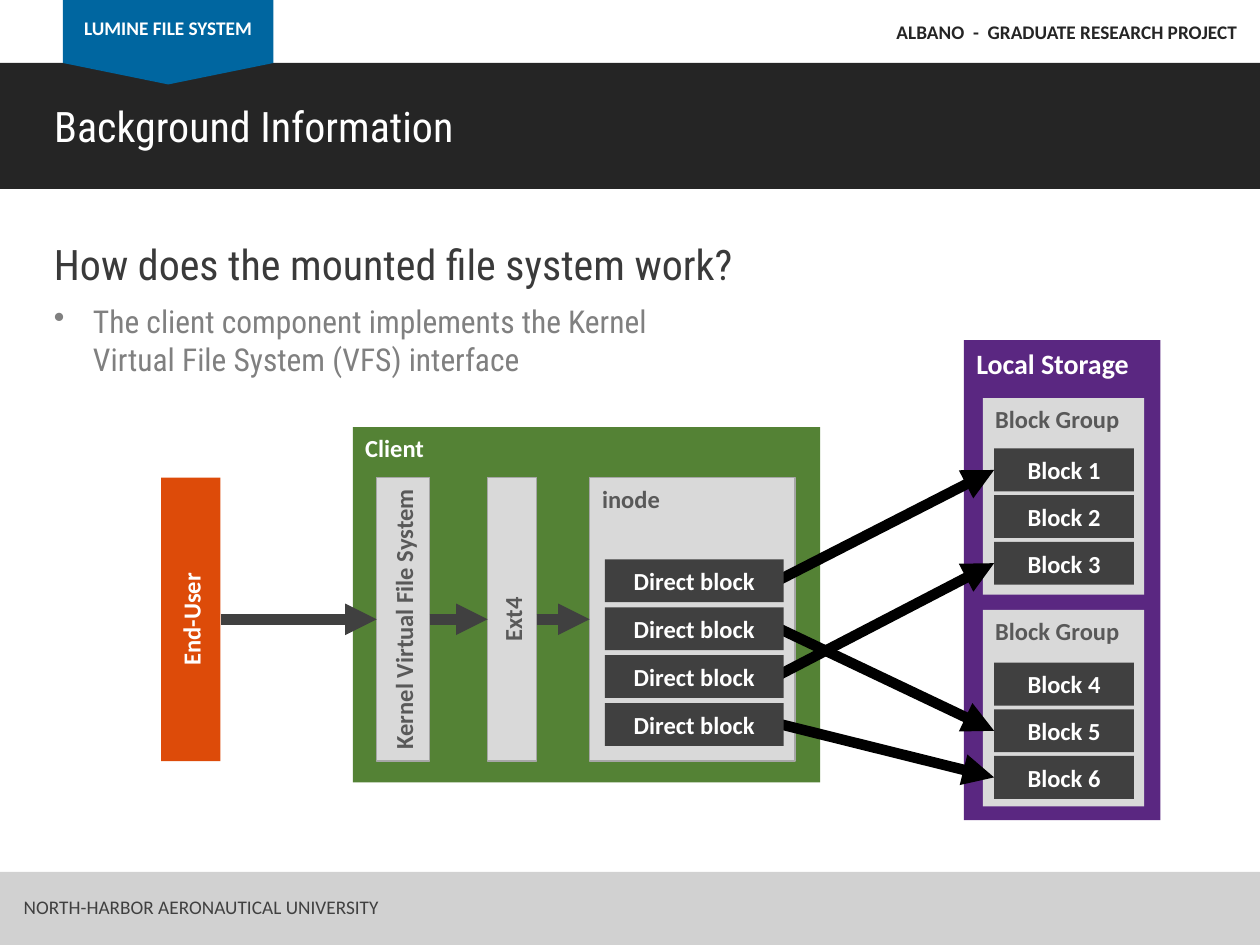
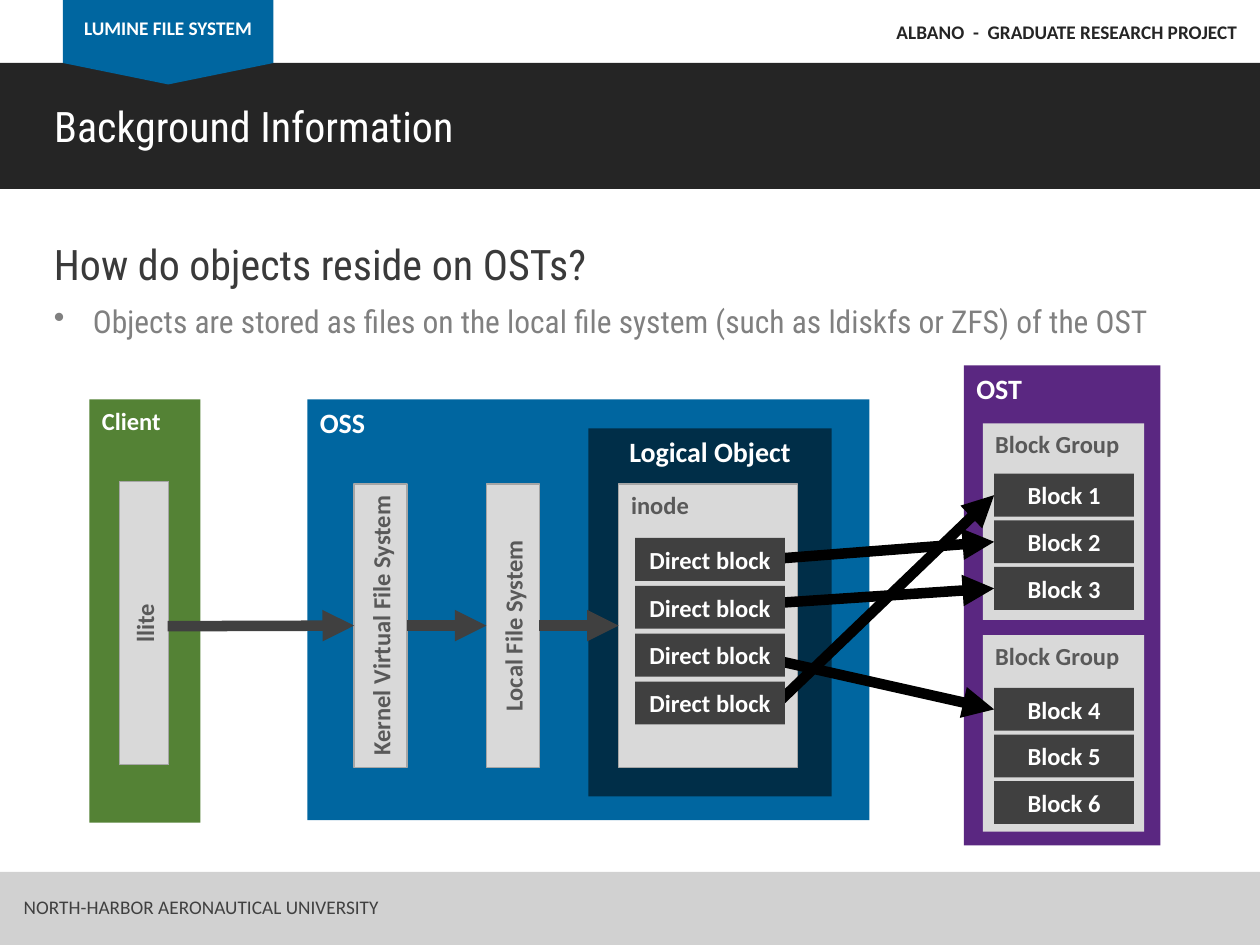
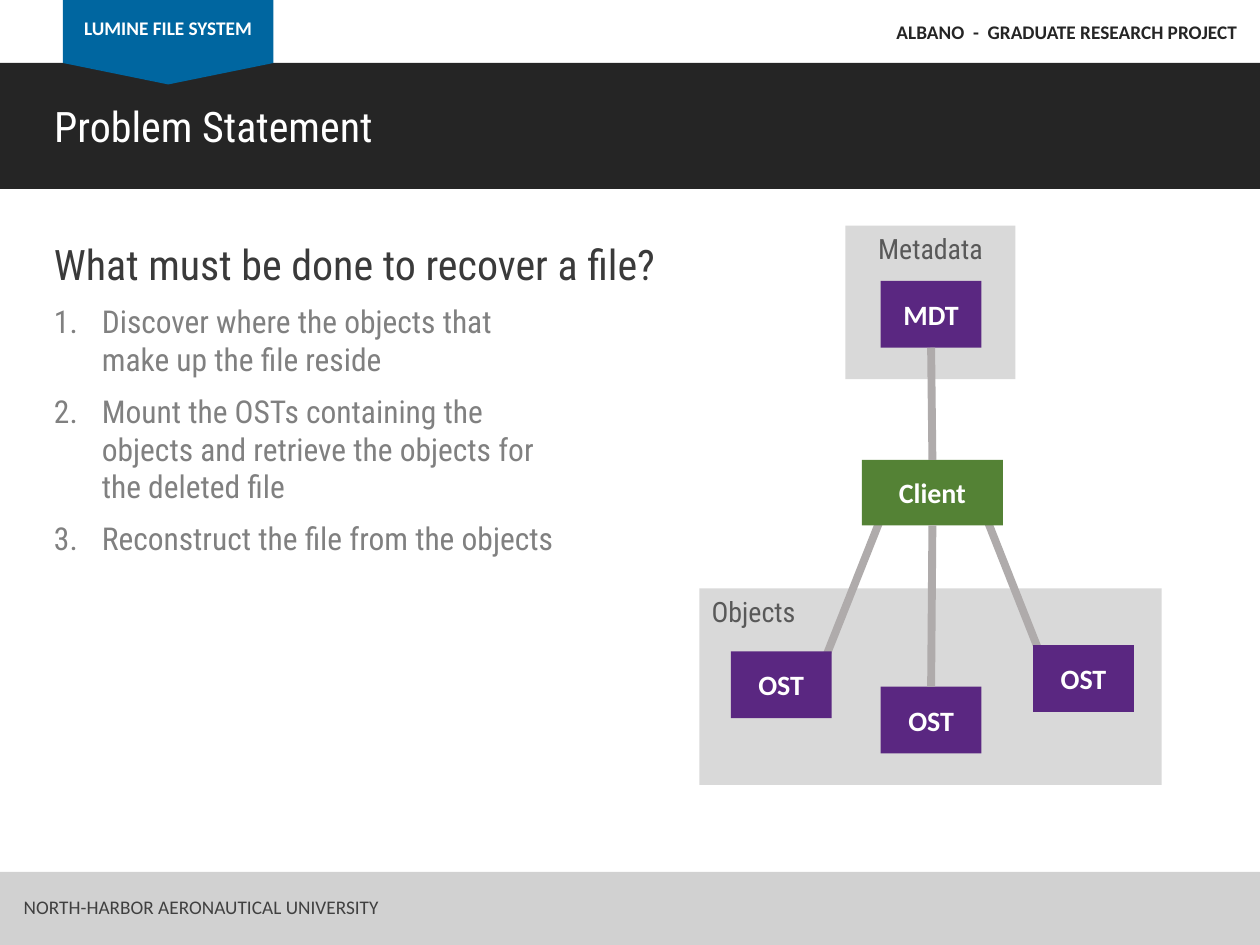
from lxml.etree import SubElement
from pptx import Presentation
from pptx.dml.color import RGBColor
from pptx.enum.shapes import MSO_CONNECTOR, MSO_SHAPE
from pptx.enum.text import MSO_ANCHOR, MSO_AUTO_SIZE, PP_ALIGN
from pptx.oxml.ns import qn
from pptx.util import Inches, Pt

CALIBRI = "Calibri"
ROBOTO = "Roboto Condensed"
WHITE = "FFFFFF"
BLACK = "000000"
CHARCOAL = "252525"
DARK_GRAY = "404040"
LABEL_GRAY = "595959"
BODY_GRAY = "808080"
LIGHT_GRAY = "D9D9D9"
BORDER_GRAY = "A6A6A6"
LINK_GRAY = "AFABAB"
FOOTER_GRAY = "D1D1D1"
HEADING_GRAY = "3A3A3A"
BLUE = "0066A0"
NAVY = "002E48"
GREEN = "548235"
PURPLE = "5A2781"
ORANGE = "DD4B09"

TOP, BOTTOM, LEFT, RIGHT = 0, 2, 1, 3
BLOCK_HEIGHT = 0.34


def rgb(hex_color):
    return RGBColor.from_string(hex_color)


def write(shape, text, size, color, font=CALIBRI, bold=False,
          align=PP_ALIGN.LEFT, anchor=MSO_ANCHOR.TOP):
    frame = shape.text_frame
    frame.text = text
    frame.word_wrap = True
    frame.auto_size = MSO_AUTO_SIZE.NONE
    frame.vertical_anchor = anchor
    for para in frame.paragraphs:
        para.alignment = align
        for span in para.runs:
            span.font.size = Pt(size)
            span.font.name = font
            span.font.bold = bold
            span.font.color.rgb = rgb(color)


def add_text(page, place, text, size, color, **style):
    box = page.shapes.add_textbox(*map(Inches, place))
    write(box, text, size, color, **style)
    return box


def add_box(page, place, fill, border=None, kind=MSO_SHAPE.RECTANGLE):
    box = page.shapes.add_shape(kind, *map(Inches, place))
    box.shadow.inherit = False
    box.fill.solid()
    box.fill.fore_color.rgb = rgb(fill)
    if border:
        box.line.color.rgb = rgb(border)
        box.line.width = Pt(0.75)
    else:
        box.line.fill.background()
    return box


def add_panel(page, place, fill, text, size=14, color=WHITE, border=None,
              font=CALIBRI, bold=True, align=PP_ALIGN.LEFT):
    panel = add_box(page, place, fill, border)
    write(panel, text, size, color, font, bold, align)
    return panel


def add_node(page, place, fill, text, size=14, color=WHITE, border=None):
    node = add_box(page, place, fill, border)
    write(node, text, size, color, bold=True, align=PP_ALIGN.CENTER,
          anchor=MSO_ANCHOR.MIDDLE)
    return node


def add_upright(page, place, text, fill=LIGHT_GRAY, color=LABEL_GRAY, border=BORDER_GRAY):
    bar = add_node(page, place, fill, text, color=color, border=border)
    frame = bar.text_frame
    frame.margin_top = frame.margin_bottom = 0
    frame.margin_left = frame.margin_right = 0
    body = bar.element.find(".//" + qn("a:bodyPr"))
    body.set("vert", "vert270")
    return bar


def add_line(page, color, width, start=(0, 0), end=(0, 0), begin_at=None,
             end_at=None, arrow=False):
    line = page.shapes.add_connector(MSO_CONNECTOR.STRAIGHT, *map(Inches, start + end))
    if begin_at:
        line.begin_connect(*begin_at)
    if end_at:
        line.end_connect(*end_at)
    line.line.color.rgb = rgb(color)
    line.line.width = Pt(width)
    if arrow:
        SubElement(line.line._get_or_add_ln(), qn("a:tailEnd"), type="triangle")
    SubElement(line.element.spPr, qn("a:effectLst"))
    return line


def add_flow(page, bars):
    for source, target in zip(bars, bars[1:]):
        add_line(page, DARK_GRAY, 6, begin_at=(source, RIGHT),
                 end_at=(target, LEFT), arrow=True)


def add_list(page, place, items, indent, marker, **marker_attributes):
    box = add_text(page, place, "\n".join(items), 18, BODY_GRAY, font=ROBOTO)
    for para in box.text_frame.paragraphs:
        para.space_after = Pt(8)
        properties = para._p.get_or_add_pPr()
        properties.set("marL", str(Inches(indent)))
        properties.set("indent", str(-Inches(indent)))
        SubElement(properties, qn(marker), **marker_attributes)


def add_page(deck, title, heading):
    page = deck.slides.add_slide(deck.slide_layouts[5])
    add_box(page, (0, 0.5, 10, 1), CHARCOAL)
    add_box(page, (0.5, 0, 1.67, 0.5), BLUE)
    point = add_box(page, (0.5, 0.5, 1.67, 0.17), BLUE, kind=MSO_SHAPE.ISOSCELES_TRIANGLE)
    point.rotation = 180
    add_text(page, (0.5, 0.08, 1.67, 0.29), "LUMINE FILE SYSTEM", 11, WHITE,
             bold=True, align=PP_ALIGN.CENTER)
    add_text(page, (6.9, 0.11, 3.02, 0.29), "ALBANO  -  GRADUATE RESEARCH PROJECT",
             11, CHARCOAL, bold=True, align=PP_ALIGN.RIGHT)
    add_box(page, (0, 6.92, 10, 0.58), FOOTER_GRAY)
    add_text(page, (0.09, 7.06, 4, 0.29), "NORTH-HARBOR AERONAUTICAL UNIVERSITY",
             11, DARK_GRAY)
    title_box = page.shapes.title
    title_box.left, title_box.top, title_box.width, title_box.height = map(
        Inches, (0.33, 0.75, 4.67, 0.5))
    write(title_box, title, 24, WHITE, font=ROBOTO)
    title_box.element.getparent().append(title_box.element)
    add_text(page, (0.33, 1.84, 6.57, 0.5), heading, 24, HEADING_GRAY, font=ROBOTO)
    return page


def add_storage(page, top, name):
    add_panel(page, (7.65, top, 1.56, 3.81), PURPLE, name, size=16)
    blocks = {}
    for group, (group_top, first_top) in enumerate([(0.46, 0.86), (2.14, 2.56)]):
        add_panel(page, (7.8, top + group_top, 1.28, 1.56), LIGHT_GRAY,
                  "Block Group", color=LABEL_GRAY)
        for row in range(3):
            number = 3 * group + row + 1
            blocks[number] = add_node(
                page, (7.89, top + first_top + 0.37 * row, 1.11, BLOCK_HEIGHT),
                DARK_GRAY, f"Block {number}")
    return blocks


def add_direct_blocks(page, left, top, width, blocks, pointers):
    for start, number in pointers:
        add_line(page, BLACK, 6, start=start, end_at=(blocks[number], LEFT), arrow=True)
    for row in range(len(pointers)):
        add_node(page, (left, top + 0.38 * row, width, BLOCK_HEIGHT),
                 DARK_GRAY, "Direct block")


def add_inode(page, place):
    return add_panel(page, place, LIGHT_GRAY, "inode", color=LABEL_GRAY, border=BORDER_GRAY)


def build_mounted_file_system(deck):
    page = add_page(deck, "Background Information", "How does the mounted file system work?")
    add_list(page, (0.33, 2.35, 5.06, 0.71),
             ["The client component implements the Kernel Virtual File System (VFS) interface"],
             0.31, "a:buChar", char="•")
    blocks = add_storage(page, 2.7, "Local Storage")
    add_panel(page, (2.8, 3.39, 3.71, 2.82), GREEN, "Client")
    inode = add_inode(page, (4.68, 3.79, 1.63, 2.25))
    add_direct_blocks(page, 4.8, 4.44, 1.42, blocks, [
        ((6.13, 4.63), 1), ((6.08, 4.94), 5), ((6.08, 5.41), 3), ((6.08, 5.72), 6)])
    user = add_upright(page, (1.28, 3.79, 0.47, 2.25), "End-User", ORANGE, WHITE, None)
    virtual = add_upright(page, (2.99, 3.79, 0.42, 2.25), "Kernel Virtual File System")
    local = add_upright(page, (3.87, 3.79, 0.39, 2.25), "Ext4")
    add_flow(page, [user, virtual, local, inode])


def build_objects_on_targets(deck):
    page = add_page(deck, "Background Information", "How do objects reside on OSTs?")
    add_list(page, (0.33, 2.35, 8.96, 0.4),
             ["Objects are stored as files on the local file system "
              "(such as ldiskfs or ZFS) of the OST"],
             0.31, "a:buChar", char="•")
    add_panel(page, (2.44, 3.17, 4.46, 3.34), BLUE, "OSS", size=16)
    add_panel(page, (4.67, 3.4, 1.93, 2.92), NAVY, "Logical Object", size=16,
              align=PP_ALIGN.CENTER)
    add_panel(page, (0.71, 3.17, 0.88, 3.36), GREEN, "Client")
    add_upright(page, (0.95, 3.82, 0.39, 2.25), "llite")
    virtual = add_upright(page, (2.81, 3.84, 0.42, 2.25), "Kernel Virtual File System")
    local = add_upright(page, (3.86, 3.84, 0.42, 2.25), "Local File System")
    inode = add_inode(page, (4.91, 3.84, 1.42, 2.25))
    add_line(page, DARK_GRAY, 6, start=(1.33, 4.97), end_at=(virtual, LEFT), arrow=True)
    add_flow(page, [virtual, local, inode])
    blocks = add_storage(page, 2.9, "OST")
    add_direct_blocks(page, 5.04, 4.27, 1.19, blocks, [
        ((6.13, 5.62), 1), ((6.11, 5.23), 4), ((6.1, 4.79), 3), ((6.09, 4.44), 2)])


def build_problem_statement(deck):
    page = add_page(deck, "Problem Statement", "What must be done to recover a file?")
    add_list(page, (0.33, 2.35, 4.19, 2.14),
             ["Discover where the objects that make up the file reside",
              "Mount the OSTs containing the objects and retrieve the objects "
              "for the deleted file",
              "Reconstruct the file from the objects"],
             0.38, "a:buAutoNum", type="arabicPeriod")
    add_panel(page, (5.55, 4.67, 3.67, 1.56), LIGHT_GRAY, "Objects", 16, LABEL_GRAY,
              font=ROBOTO, bold=False)
    add_panel(page, (6.71, 1.79, 1.35, 1.22), LIGHT_GRAY, "Metadata", 16, LABEL_GRAY,
              font=ROBOTO, bold=False, align=PP_ALIGN.CENTER)
    add_line(page, LINK_GRAY, 4.5, start=(6.46, 5.45), end=(7.02, 4.04))
    add_line(page, LINK_GRAY, 4.5, start=(7.8, 4.04), end=(8.35, 5.43))
    client = add_node(page, (6.84, 3.65, 1.12, 0.52), GREEN, "Client", 16)
    metadata, middle, _, _ = [
        add_node(page, (left, top, 0.8, 0.53), PURPLE, name, 16)
        for left, top, name in [(6.99, 2.23, "MDT"), (6.99, 5.45, "OST"),
                                (8.2, 5.12, "OST"), (5.8, 5.17, "OST")]]
    add_line(page, LINK_GRAY, 4.5, begin_at=(client, TOP), end_at=(metadata, BOTTOM))
    add_line(page, LINK_GRAY, 4.5, begin_at=(client, BOTTOM), end_at=(middle, TOP))


def main():
    deck = Presentation()
    deck.slide_width, deck.slide_height = Inches(10), Inches(7.5)
    build_mounted_file_system(deck)
    build_objects_on_targets(deck)
    build_problem_statement(deck)
    deck.save("out.pptx")


if __name__ == "__main__":
    main()
